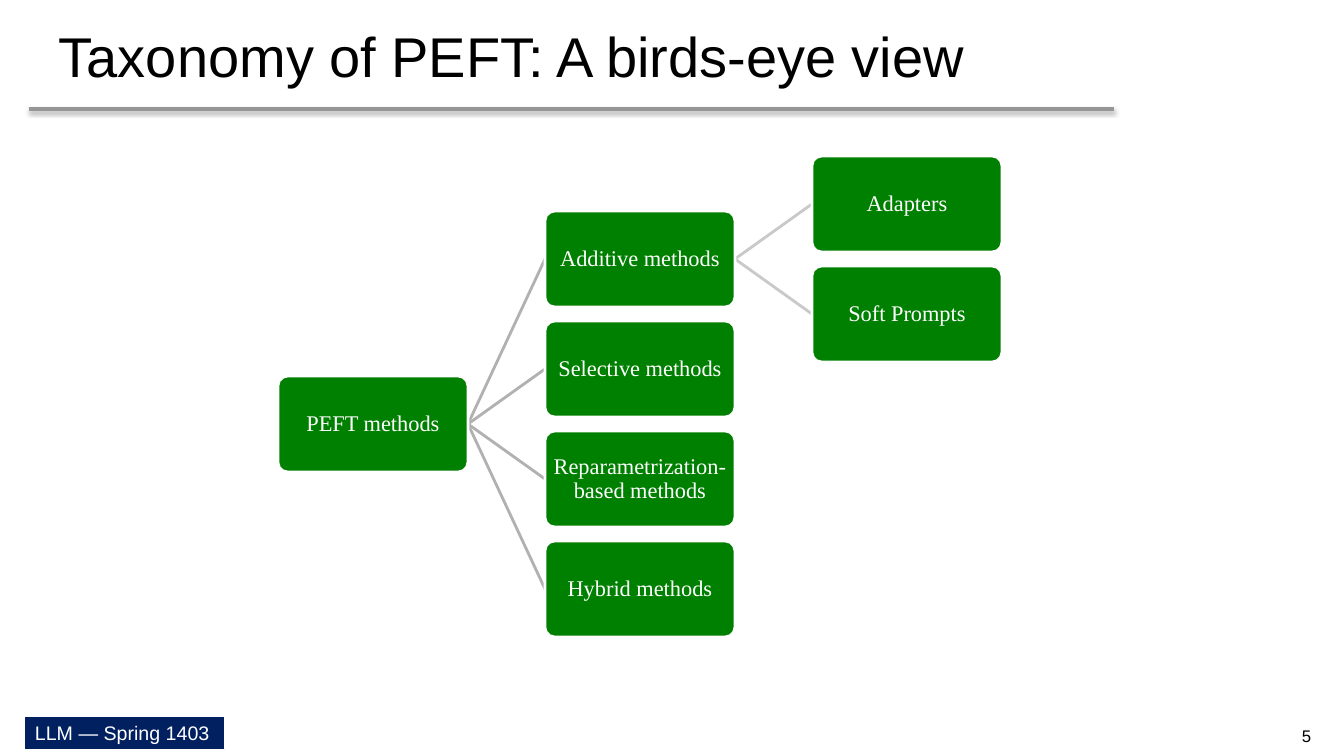
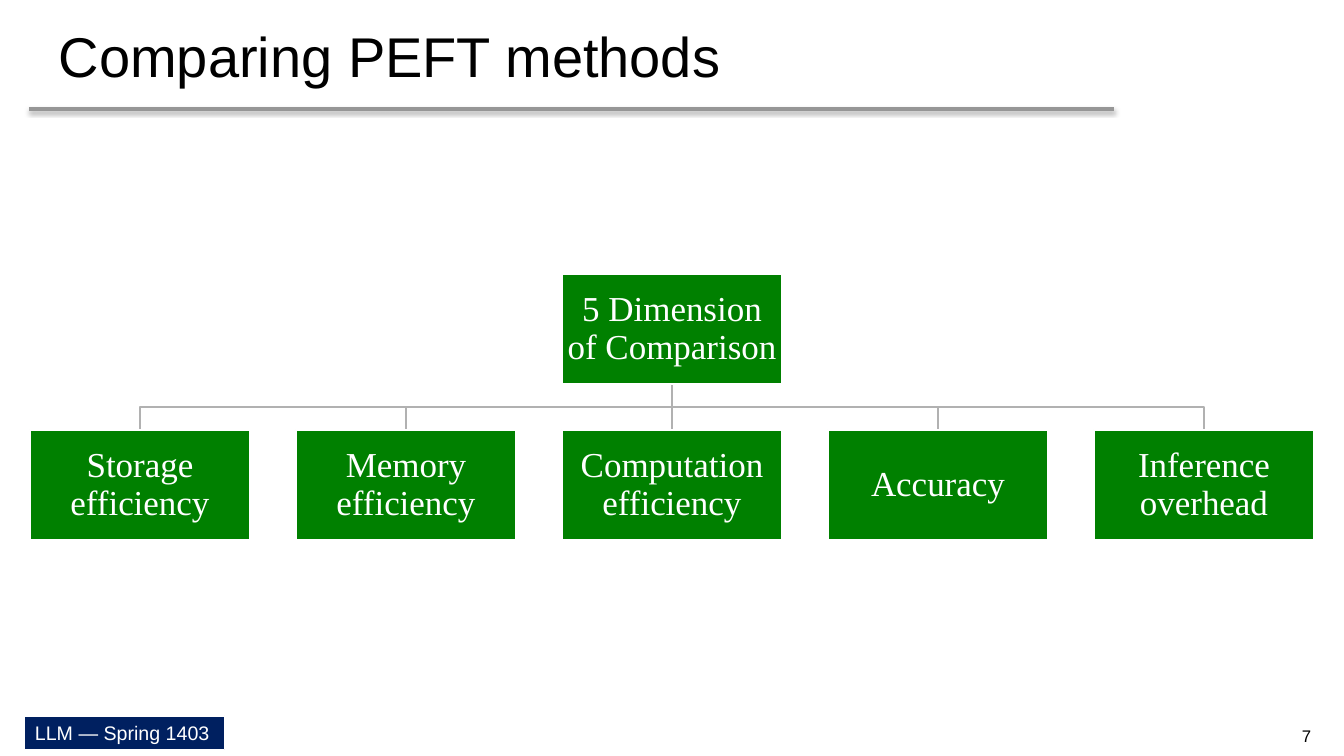
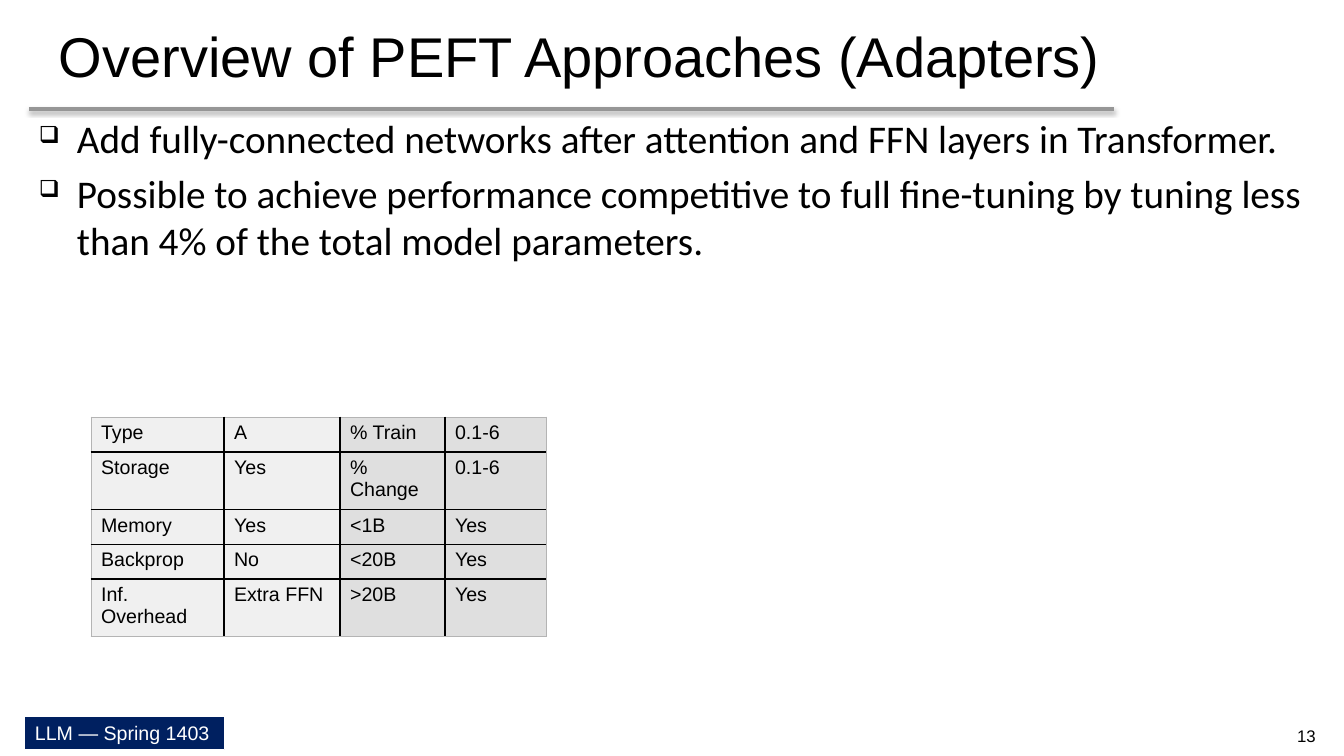
from dataclasses import dataclass
from typing import NamedTuple

from lxml import etree
from pptx import Presentation
from pptx.dml.color import RGBColor
from pptx.enum.shapes import MSO_CONNECTOR, MSO_SHAPE
from pptx.enum.text import MSO_ANCHOR, PP_ALIGN
from pptx.oxml.ns import qn
from pptx.util import Emu, Pt

EMU_PER_PX = 914400 / 100.8
SLIDE_WIDTH, SLIDE_HEIGHT = 1344, 756
BLANK_LAYOUT = 6

BLACK = RGBColor(0x00, 0x00, 0x00)
WHITE = RGBColor(0xFF, 0xFF, 0xFF)
NAVY = RGBColor(0x00, 0x20, 0x60)
GREEN = RGBColor(0x00, 0x80, 0x00)
RULE_GREY = RGBColor(0x96, 0x96, 0x96)
BRANCH_GREY = RGBColor(0xB1, 0xB1, 0xB1)
TWIG_GREY = RGBColor(0xC9, 0xC9, 0xC9)
FRAME_GREY = RGBColor(0xB4, 0xB4, 0xB4)
LIGHT_CELL = RGBColor(0xF0, 0xF0, 0xF0)
DARK_CELL = RGBColor(0xDF, 0xDF, 0xDF)

SANS, BODY, SERIF = "Arial", "Calibri", "Times New Roman"

RECTANGLE = MSO_SHAPE.RECTANGLE
ROUNDED = MSO_SHAPE.ROUNDED_RECTANGLE
STRAIGHT = MSO_CONNECTOR.STRAIGHT
MIDDLE, TOP = MSO_ANCHOR.MIDDLE, MSO_ANCHOR.TOP
LEFT, CENTER = PP_ALIGN.LEFT, PP_ALIGN.CENTER


class Area(NamedTuple):
    left: int
    top: int
    width: int
    height: int


class Style(NamedTuple):
    font: str
    size: int
    color: RGBColor
    align: PP_ALIGN = LEFT


class Border(NamedTuple):
    color: RGBColor
    points: float


@dataclass(frozen=True)
class Method:
    name: str
    children: tuple["Method", ...] = ()


TITLE_AREA = Area(29, 2, 1285, 107)
BODY_AREA = Area(29, 109, 1285, 597)
FOOTER_AREA = Area(25, 716, 200, 34)
NUMBER_AREA = Area(1269, 716, 75, 40)
TITLE_STYLE = Style(SANS, 40, BLACK)
FOOTER_STYLE = Style(SANS, 14, WHITE)
NUMBER_STYLE = Style(SANS, 12, BLACK, CENTER)
BULLET_STYLE = Style(BODY, 28, BLACK)
CELL_STYLE = Style(SANS, 14, BLACK)
TREE_STYLE = Style(SERIF, 16, WHITE, CENTER)
CHART_STYLE = Style(SERIF, 25, WHITE, CENTER)

TREE_ROOT = Area(278, 376, 190, 96)
TREE_COLUMN_PITCH, TREE_ROW_PITCH = 267, 110
BRANCH_COLORS = (BRANCH_GREY, TWIG_GREY)
PEFT_TREE = Method("PEFT methods", (
    Method("Additive methods", (Method("Adapters"), Method("Soft Prompts"))),
    Method("Selective methods"),
    Method("Reparametrization-based methods"),
    Method("Hybrid methods"),
))

CHART_ROOT = Area(562, 274, 220, 110)
DIMENSION_LEFT, DIMENSION_TOP, DIMENSION_PITCH = 30, 430, 266
DIMENSIONS = ("Storage efficiency", "Memory efficiency", "Computation efficiency",
              "Accuracy", "Inference overhead")

BULLETS = (
    "Add fully-connected networks after attention and FFN layers in Transformer.",
    "Possible to achieve performance competitive to full fine-tuning by tuning less "
    "than 4% of the total model parameters.",
)
TABLE_LEFT, TABLE_TOP, ROW_HEIGHT = 91, 417, 35
COLUMN_WIDTHS = (133, 116, 105, 101)
COLUMN_FILLS = (LIGHT_CELL, LIGHT_CELL, DARK_CELL, DARK_CELL)
TABLE_ROWS = (
    ("Type", "A", "% Train", "0.1-6"),
    ("Storage", "Yes", "% Change", "0.1-6"),
    ("Memory", "Yes", "<1B", "Yes"),
    ("Backprop", "No", "<20B", "Yes"),
    ("Inf. Overhead", "Extra FFN", ">20B", "Yes"),
)
FRAME = Border(FRAME_GREY, 0.5)
GRID = Border(BLACK, 1)
HEADER_RULE = Border(BLACK, 1.5)


def px(length: float) -> Emu:
    return Emu(round(length * EMU_PER_PX))


def emu(area: Area) -> list[Emu]:
    return [px(length) for length in area]


def style_paragraph(para, style: Style) -> None:
    para.alignment = style.align
    para.font.name = style.font
    para.font.size = Pt(style.size)
    para.font.color.rgb = style.color


def set_indent(para, left: int, first: int = 0) -> None:
    properties = para._p.get_or_add_pPr()
    properties.set("marL", str(px(left)))
    properties.set("indent", str(px(first)))


def add_text(slide, area: Area, text: str, style: Style, anchor=MIDDLE):
    """Add a wrapping text box and return its first paragraph."""
    frame = slide.shapes.add_textbox(*emu(area)).text_frame
    frame.word_wrap = True
    frame.vertical_anchor = anchor
    para = frame.paragraphs[0]
    para.text = text
    style_paragraph(para, style)
    return para


def add_block(slide, kind, area: Area, fill: RGBColor, outline: float,
              text: str, style: Style):
    """Add a filled shape with a white outline and centred-height text."""
    block = slide.shapes.add_shape(kind, *emu(area))
    block.shadow.inherit = False
    block.fill.solid()
    block.fill.fore_color.rgb = fill
    block.line.color.rgb = WHITE
    block.line.width = Pt(outline)
    frame = block.text_frame
    frame.word_wrap = True
    frame.vertical_anchor = MIDDLE
    frame.paragraphs[0].text = text
    style_paragraph(frame.paragraphs[0], style)
    return block


def add_node(slide, kind, area: Area, text: str, style: Style, inset: int):
    """Add a green diagram box with tight margins and line spacing."""
    node = add_block(slide, kind, area, GREEN, 2, text, style)
    frame = node.text_frame
    frame.margin_left = frame.margin_right = px(inset)
    frame.margin_top = frame.margin_bottom = px(inset)
    frame.paragraphs[0].line_spacing = 0.9
    return node


def add_line(slide, start: tuple[float, float], end: tuple[float, float],
             color: RGBColor, points: float):
    """Add a straight line and return its empty effect list."""
    line = slide.shapes.add_connector(STRAIGHT, *(px(value) for value in start + end))
    line.line.color.rgb = color
    line.line.width = Pt(points)
    return etree.SubElement(line._element.spPr, qn("a:effectLst"))


def add_title_rule(slide) -> None:
    effects = add_line(slide, (29, 109), (1114, 109), RULE_GREY, 3)
    shadow = etree.SubElement(effects, qn("a:outerShdw"), blurRad=str(Pt(3.1)),
                              dist=str(Pt(1.8)), dir="5400000", rotWithShape="0")
    color = etree.SubElement(shadow, qn("a:srgbClr"), val=str(BLACK))
    etree.SubElement(color, qn("a:alpha"), val="35000")


def add_slide(deck, title: str, number: int):
    """Add a slide with the shared footer, rule, title and page number."""
    slide = deck.slides.add_slide(deck.slide_layouts[BLANK_LAYOUT])
    add_block(slide, RECTANGLE, FOOTER_AREA, NAVY, 0.75, "LLM — Spring 1403", FOOTER_STYLE)
    add_title_rule(slide)
    set_indent(add_text(slide, TITLE_AREA, title, TITLE_STYLE), 20)
    add_text(slide, NUMBER_AREA, str(number), NUMBER_STYLE)
    return slide


def add_tree(slide, method: Method, area: Area, depth: int = 0) -> None:
    """Draw a method with its children spread evenly about its own height."""
    middle = area.height // 2
    for index, child in enumerate(method.children):
        offset = (2 * index - len(method.children) + 1) * TREE_ROW_PITCH // 2
        child_area = area._replace(left=area.left + TREE_COLUMN_PITCH,
                                   top=area.top + offset)
        add_line(slide, (area.left + area.width, area.top + middle),
                 (child_area.left, child_area.top + middle), BRANCH_COLORS[depth], 2)
        add_tree(slide, child, child_area, depth + 1)
    node = add_node(slide, ROUNDED, area, method.name, TREE_STYLE, 1)
    node.adjustments[0] = 0.1


def add_bracket(slide, left: int, right: int, top: int, bottom: int) -> None:
    corners = [(left, bottom), (left, top), (right, top), (right, bottom)]
    points = [(px(x), px(y)) for x, y in corners]
    builder = slide.shapes.build_freeform(*points[0])
    builder.add_line_segments(points[1:], close=False)
    bracket = builder.convert_to_shape()
    bracket.shadow.inherit = False
    bracket.fill.background()
    bracket.line.color.rgb = BRANCH_GREY
    bracket.line.width = Pt(2)


def add_dimension_chart(slide) -> None:
    areas = [CHART_ROOT._replace(left=DIMENSION_LEFT + index * DIMENSION_PITCH,
                                 top=DIMENSION_TOP)
             for index in range(len(DIMENSIONS))]
    centers = [area.left + area.width // 2 for area in areas]
    root_center = CHART_ROOT.left + CHART_ROOT.width // 2
    root_bottom = CHART_ROOT.top + CHART_ROOT.height
    bus = (root_bottom + DIMENSION_TOP) // 2
    add_bracket(slide, centers[0], centers[-1], bus, DIMENSION_TOP)
    add_line(slide, (root_center, root_bottom), (root_center, bus), BRANCH_GREY, 2)
    for center in centers[1:-1]:
        add_line(slide, (center, bus), (center, DIMENSION_TOP), BRANCH_GREY, 2)
    add_node(slide, RECTANGLE, CHART_ROOT, "5 Dimension of Comparison", CHART_STYLE, 3)
    for area, name in zip(areas, DIMENSIONS):
        add_node(slide, RECTANGLE, area, name, CHART_STYLE, 3)


def add_bullets(slide) -> None:
    box = slide.shapes.add_textbox(*emu(BODY_AREA))
    frame = box.text_frame
    frame.word_wrap = True
    for index, text in enumerate(BULLETS):
        para = frame.add_paragraph() if index else frame.paragraphs[0]
        para.text = text
        set_indent(para, 38, -38)
        properties = para._p.get_or_add_pPr()
        etree.SubElement(properties, qn("a:buSzPct"), val="60000")
        etree.SubElement(properties, qn("a:buChar"), char="❑")
        if index:
            para.space_before = Pt(5.6)
        style_paragraph(para, BULLET_STYLE)


def set_border(cell, side: str, border: Border) -> None:
    line = etree.SubElement(cell._tc.get_or_add_tcPr(), qn(f"a:ln{side}"),
                            w=str(Pt(border.points)))
    fill = etree.SubElement(line, qn("a:solidFill"))
    etree.SubElement(fill, qn("a:srgbClr"), val=str(border.color))


def add_adapter_table(slide) -> None:
    row_count, column_count = len(TABLE_ROWS), len(COLUMN_WIDTHS)
    area = Area(TABLE_LEFT, TABLE_TOP, sum(COLUMN_WIDTHS), row_count * ROW_HEIGHT)
    table = slide.shapes.add_table(row_count, column_count, *emu(area)).table
    table.first_row = table.horz_banding = False
    for column, width in zip(table.columns, COLUMN_WIDTHS):
        column.width = px(width)
    upright = [FRAME, *[GRID] * (column_count - 1), FRAME]
    level = [FRAME, HEADER_RULE, *[GRID] * (row_count - 2), FRAME]
    for row, texts in enumerate(TABLE_ROWS):
        table.rows[row].height = px(ROW_HEIGHT)
        for column, text in enumerate(texts):
            cell = table.cell(row, column)
            cell.text = text
            style_paragraph(cell.text_frame.paragraphs[0], CELL_STYLE)
            set_border(cell, "L", upright[column])
            set_border(cell, "R", upright[column + 1])
            set_border(cell, "T", level[row])
            set_border(cell, "B", level[row + 1])
            cell.fill.solid()
            cell.fill.fore_color.rgb = COLUMN_FILLS[column]


def main() -> None:
    deck = Presentation()
    deck.slide_width, deck.slide_height = px(SLIDE_WIDTH), px(SLIDE_HEIGHT)

    taxonomy = add_slide(deck, "Taxonomy of PEFT: A birds-eye view", 5)
    add_tree(taxonomy, PEFT_TREE, TREE_ROOT)

    comparison = add_slide(deck, "Comparing PEFT methods", 7)
    add_dimension_chart(comparison)

    adapters = add_slide(deck, "Overview of PEFT Approaches (Adapters)", 13)
    add_bullets(adapters)
    add_adapter_table(adapters)

    deck.save("out.pptx")


if __name__ == "__main__":
    main()
